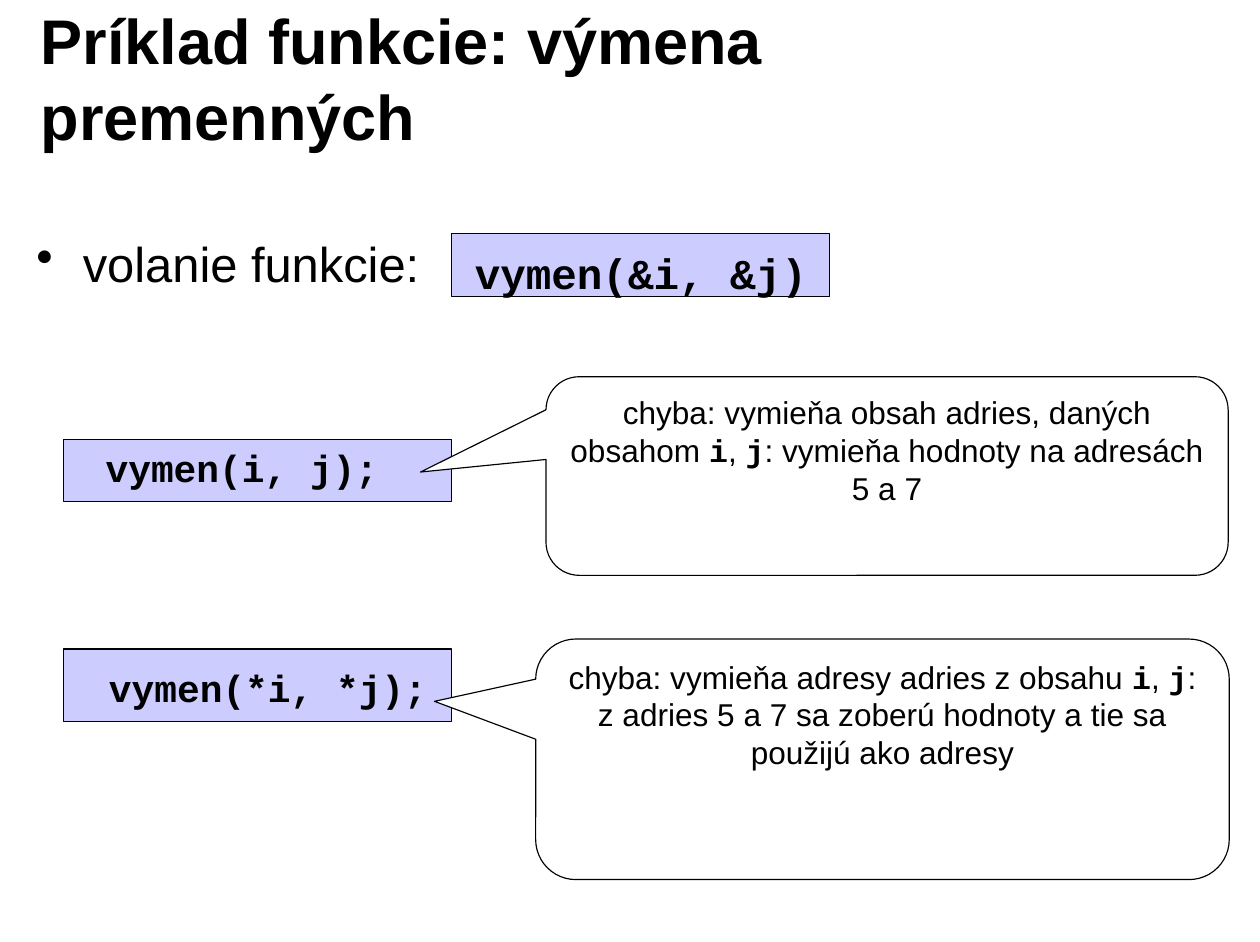
from dataclasses import dataclass

from lxml.etree import SubElement
from pptx import Presentation
from pptx.dml.color import RGBColor as RGB
from pptx.enum.shapes import MSO_SHAPE as SHAPE
from pptx.enum.text import MSO_ANCHOR as ANCHOR, PP_ALIGN as ALIGN
from pptx.oxml.ns import qn
from pptx.util import Pt


@dataclass(frozen=True)
class Theme:
    ink: RGB = RGB(0, 0, 0)
    paper: RGB = RGB(255, 255, 255)
    code_fill: RGB = RGB(0xCC, 0xCC, 0xFF)
    sans: str = "Arial"
    mono: str = "Courier New"
    title: int = 40
    bullet: int = 31
    call: int = 27
    code: int = 24
    note: int = 20


theme = Theme()


def set_font(font, name, size, bold=False):
    font.name, font.size, font.bold = name, Pt(size), bold
    font.color.rgb = theme.ink


def add_box(kind, place, fill, margins, anchor):
    """Add an outlined shape and return it with its first paragraph centred."""
    box = slide.shapes.add_shape(kind, *map(Pt, place))
    box.shadow.inherit = False
    box.fill.solid()
    box.fill.fore_color.rgb = fill
    box.line.color.rgb = theme.ink
    box.line.width = Pt(0.75)
    frame = box.text_frame
    frame.word_wrap = True
    frame.vertical_anchor = anchor
    (frame.margin_left, frame.margin_top,
     frame.margin_right, frame.margin_bottom) = map(Pt, margins)
    frame.paragraphs[0].alignment = ALIGN.CENTER
    return box, frame.paragraphs[0]


deck = Presentation()
deck.slide_width, deck.slide_height = Pt(799.2), Pt(597.6)
slide = deck.slides.add_slide(deck.slide_layouts[6])

# Title and bullet line
lines = [
    ("Príklad funkcie: výmena premenných", (18, 12.2, 642, 73.4),
     theme.title, True, ANCHOR.MIDDLE),
    ("volanie funkcie:", (15.1, 144, 270, 67.7),
     theme.bullet, False, ANCHOR.TOP),
]
for wording, place, size, bold, anchor in lines:
    frame = slide.shapes.add_textbox(*map(Pt, place)).text_frame
    frame.word_wrap = True
    frame.vertical_anchor = anchor
    frame.margin_left = frame.margin_right = Pt(7.9)
    frame.margin_top = frame.margin_bottom = Pt(4.3)
    line = frame.paragraphs[0]
    line.text = wording
    if not bold:
        props = line._p.get_or_add_pPr()
        props.set("marL", str(Pt(29.5)))
        props.set("indent", str(Pt(-29.5)))
        SubElement(props, qn("a:buChar"), char="•")
    set_font(line.font, theme.sans, size, bold)

# Function calls: the margins place each text within its box
calls = [
    ("vymen(&i, &j)", (286.6, 148.3, 239.8, 39.6), theme.call, (0, 9, 0, 0)),
    ("vymen(i, j);", (40.3, 278.6, 246.2, 39.6), theme.code, (0, 0, 20, 4)),
    ("vymen(*i, *j);", (40.3, 411.8, 246.2, 46.1), theme.code, (13, 3, 0, 0)),
]
for code, place, size, margins in calls:
    _, line = add_box(SHAPE.RECTANGLE, place, theme.code_fill, margins,
                      ANCHOR.MIDDLE)
    line.text = code
    set_font(line.font, theme.mono, size, True)

# Callouts explaining the errors: plain and code wording alternate
notes = [
    ((346.3, 239, 432.7, 126), (-0.684, -0.02, 0.167),
     ["chyba: vymieňa obsah adries, daných obsahom ", "i", ", ", "j",
      ": vymieňa hodnoty na adresách 5 a 7"]),
    ((339.8, 405.4, 439.9, 152.6), (-0.646, -0.241, 0.167),
     ["chyba: vymieňa adresy adries z obsahu ", "i", ", ", "j",
      ": z adries 5 a 7 sa zoberú hodnoty a tie sa použijú ako adresy"]),
]
for place, adjustments, pieces in notes:
    callout, line = add_box(SHAPE.ROUNDED_RECTANGULAR_CALLOUT, place,
                            theme.paper, (7.9, 4.3, 7.9, 4.3), ANCHOR.TOP)
    for index, value in enumerate(adjustments):
        callout.adjustments[index] = value
    for index, piece in enumerate(pieces):
        run = line.add_run()
        run.text = piece
        is_code = index % 2 == 1
        set_font(run.font, theme.mono if is_code else theme.sans,
                 theme.note, is_code)

deck.save("out.pptx")
